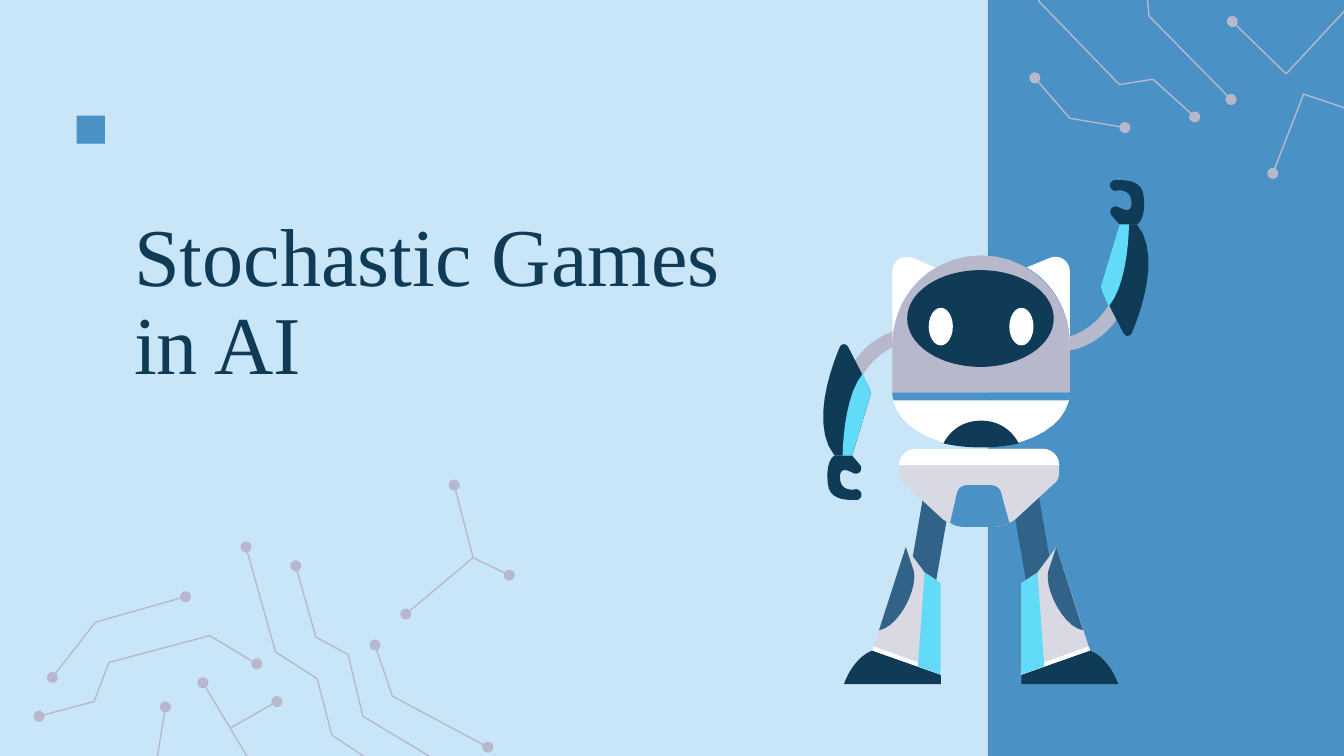
from lxml import etree
from pptx import Presentation
from pptx.dml.color import RGBColor
from pptx.enum.shapes import MSO_CONNECTOR, MSO_SHAPE
from pptx.enum.text import MSO_ANCHOR
from pptx.oxml.ns import qn
from pptx.util import Inches, Pt

STRAIGHT = MSO_CONNECTOR.STRAIGHT
RECTANGLE, OVAL = MSO_SHAPE.RECTANGLE, MSO_SHAPE.OVAL
BOTTOM = MSO_ANCHOR.BOTTOM
SKY = RGBColor(0xC9, 0xE6, 0xF8)
BLUE = RGBColor(0x4A, 0x91, 0xC6)
NAVY = RGBColor(0x10, 0x3B, 0x57)
STEEL = RGBColor(0x31, 0x63, 0x88)
CYAN = RGBColor(0x61, 0xDB, 0xF8)
LILAC = RGBColor(0xB8, 0xB8, 0xCC)
PALE = RGBColor(0xD9, 0xD9, 0xE4)
WHITE = RGBColor(0xFF, 0xFF, 0xFF)
FONT = "Times New Roman"
CURVE_STEPS = 10

LOWER_TRACES = [
    [(3.38, 0.01), (3.52, 0.55), (3.79, 0.68)],
    [(2.79, 1.2), (2.92, 1.58), (3.63, 1.96)],
    [(2.2, 0.61), (2.35, 1.14), (2.59, 1.27), (2.7, 1.73), (3.75, 2.36)],
    [(1.83, 0.47), (2.05, 1.25), (2.36, 1.45), (2.47, 1.87), (3.45, 2.52)],
    [(0.39, 1.44), (0.71, 1.03), (1.38, 0.84)],
    [(0.29, 1.73), (0.7, 1.62), (0.81, 1.33), (1.56, 1.13), (1.91, 1.34)],
    [(1.23, 1.66), (1.12, 2.35), (0.44, 2.24)],
    [(1.51, 1.48), (1.96, 2.23)],
]
LOWER_BRANCHES = [[(3.52, 0.55), (3.02, 0.97)], [(1.71, 1.82), (2.06, 1.62)]]
UPPER_TRACES = [
    [(0, 0.58), (0.26, 0.88), (0.67, 0.95)],
    [(0.07, -0.36), (0.03, 0.01), (0.63, 0.63), (0.88, 0.59), (1.19, 0.87)],
    [(0.8, -0.4), (0.85, 0.12), (1.46, 0.74)],
    [(1.47, 0.16), (1.87, 0.55), (2.5, -0.13)],
    [(1.77, 1.29), (2, 0.7), (2.65, 0.92)],
]

ARM = [
    (LILAC, [(0.21, 2.01), (0.2, 1.79, 0.23, 1.49, 0.44, 1.29), (0.57, 1.17, 0.71, 1.15, 0.72, 1.15),
             (0.73, 1.25), (0.71, 1.26, 0.28, 1.34, 0.32, 2.01)]),
    (NAVY, [(0.47, 1.59), (0.31, 1.28), (0.29, 1.25, 0.26, 1.26, 0.25, 1.28),
            (0.18, 1.44, 0.03, 1.87, 0.21, 2.09), (0.34, 2.09), (0.48, 1.63)]),
    (NAVY, [(0.4, 2.16), (0.34, 2.09), (0.21, 2.09), (0.21, 2.09, 0.14, 2.12, 0.16, 2.3),
            (0.17, 2.43, 0.32, 2.42, 0.38, 2.42), (0.4, 2.41, 0.41, 2.4, 0.41, 2.38),
            (0.41, 2.36, 0.39, 2.34, 0.37, 2.34), (0.32, 2.35, 0.25, 2.34, 0.25, 2.25),
            (0.25, 2.17, 0.31, 2.2, 0.35, 2.22), (0.37, 2.23, 0.39, 2.22, 0.4, 2.21),
            (0.41, 2.19, 0.41, 2.17, 0.4, 2.16)]),
    (CYAN, [(0.48, 1.63), (0.47, 1.59), (0.42, 1.48), (0.27, 1.66, 0.27, 2.09, 0.27, 2.09), (0.34, 2.09)]),
]
EAR = [
    (WHITE, [(0.96, 0.69), (0.91, 0.72, 0.87, 0.75, 0.83, 0.79), (0.71, 0.91, 0.64, 1.08, 0.64, 1.26),
             (0.64, 0.72), (0.64, 0.64, 0.72, 0.59, 0.79, 0.62)]),
]
HEAD = [
    (LILAC, [(1.96, 1.62), (1.96, 1.26), (1.96, 0.9, 1.67, 0.6, 1.3, 0.6),
             (0.93, 0.6, 0.64, 0.9, 0.64, 1.26), (0.64, 1.62)]),
    (WHITE, [(1.96, 1.62), (1.96, 1.85, 1.67, 2.03, 1.3, 2.03), (0.93, 2.03, 0.64, 1.85, 0.64, 1.62)]),
    (BLUE, [(1.95, 1.68), (1.96, 1.66, 1.96, 1.64, 1.96, 1.62), (0.64, 1.62),
            (0.64, 1.64, 0.64, 1.66, 0.65, 1.68)]),
    (NAVY, [(1.02, 2), (1.11, 2.02, 1.2, 2.03, 1.3, 2.03), (1.4, 2.03, 1.49, 2.02, 1.58, 2),
            (1.53, 1.9, 1.43, 1.83, 1.3, 1.83), (1.17, 1.83, 1.07, 1.9, 1.02, 2)]),
]
FACE = [(NAVY, 0.75, 0.71, 1.09, 0.72), (WHITE, 0.91, 0.99, 0.18, 0.28), (WHITE, 1.51, 0.99, 0.18, 0.28)]
LEG = [
    (STEEL, [(0.94, 3.17), (0.74, 3.14), (0.87, 2.39), (1.07, 2.42)]),
    (NAVY, [(1, 3.72), (0.49, 3.54), (0.34, 3.6, 0.28, 3.79, 0.28, 3.79), (1, 3.79)]),
    (PALE, [(0.49, 3.54), (0.74, 2.77), (0.88, 2.96), (1, 3.04), (1, 3.72)]),
    (WHITE, [(0.49, 3.54), (1, 3.72), (1, 3.69), (0.5, 3.51)]),
    (STEEL, [(0.8, 2.95), (0.74, 2.77), (0.54, 3.39), (0.68, 3.37, 0.83, 3.09, 0.8, 2.95)]),
    (CYAN, [(1, 3.72), (1, 3.04), (0.88, 2.96), (0.83, 3.66)]),
]
BELT_TOP = [(1.88, 2.16), (1.88, 2.09, 1.82, 2.04, 1.76, 2.04), (0.81, 2.04),
            (0.75, 2.04, 0.69, 2.09, 0.69, 2.16)]
HIP_BOTTOM = [(1.51, 2.59), (1.47, 2.61, 1.44, 2.62, 1.4, 2.62), (1.17, 2.62),
              (1.13, 2.62, 1.1, 2.61, 1.07, 2.59)]
PELVIS = [
    (PALE, BELT_TOP + [(0.69, 2.21), (0.69, 2.25, 0.71, 2.28, 0.73, 2.3), (1, 2.55),
                       (1.02, 2.57, 1.04, 2.58, 1.07, 2.59), (1.1, 2.61, 1.13, 2.62, 1.17, 2.62),
                       (1.4, 2.62), (1.44, 2.62, 1.47, 2.61, 1.51, 2.59),
                       (1.53, 2.58, 1.55, 2.57, 1.57, 2.55), (1.84, 2.3),
                       (1.87, 2.28, 1.88, 2.25, 1.88, 2.21)]),
    (WHITE, BELT_TOP),
    (BLUE, HIP_BOTTOM + [(1.12, 2.37), (1.13, 2.33, 1.16, 2.31, 1.2, 2.31), (1.37, 2.31),
                         (1.41, 2.31, 1.44, 2.33, 1.45, 2.37)]),
]


def upright(x, y):
    """Leave a robot point where it is."""
    return x, y


def mirrored(x, y):
    """Reflect a robot point across the body axis."""
    return 2.6 - x, y


def half_turned(x, y):
    """Turn a robot point by 180 degrees for the raised arm."""
    return 2.67 - x, 2.46 - y


def flatten(outline):
    """Turn points and cubic curves into a list of points."""
    points = [outline[0]]
    for step in outline[1:]:
        if len(step) == 2:
            points.append(step)
            continue
        corners = [points[-1], step[:2], step[2:4], step[4:]]
        for index in range(1, CURVE_STEPS + 1):
            t = index / CURVE_STEPS
            weights = ((1 - t) ** 3, 3 * t * (1 - t) ** 2, 3 * t * t * (1 - t), t ** 3)
            points.append(tuple(sum(w * c[axis] for w, c in zip(weights, corners)) for axis in (0, 1)))
    return points


def add_outline(shapes, box, points, close):
    """Build a freeform from points relative to the box."""
    placed = [(Inches(box[0] + x), Inches(box[1] + y)) for x, y in points]
    builder = shapes.build_freeform(*placed[0])
    builder.add_line_segments(placed[1:], close=close)
    shape = builder.convert_to_shape()
    shape.shadow.inherit = False
    return shape


def paint(shape, color):
    """Give a shape a flat fill with no line or shadow."""
    shape.shadow.inherit = False
    shape.fill.solid()
    shape.fill.fore_color.rgb = color
    shape.line.fill.background()


def add_preset(shapes, kind, box, color):
    """Place a flat preset shape in the box."""
    paint(shapes.add_shape(kind, *map(Inches, box)), color)


def add_parts(shapes, box, parts, turn=upright):
    """Draw coloured outlines after moving each point."""
    for color, outline in parts:
        points = [turn(x, y) for x, y in flatten(outline)]
        paint(add_outline(shapes, box, points, True), color)


def style_trace(shape, ends):
    """Draw a thin lilac line with round dots at the ends."""
    shape.line.color.rgb = LILAC
    shape.line.width = Pt(0.75)
    line = shape.line._get_or_add_ln()
    for end in ends:
        etree.SubElement(line, qn(f"a:{end}"), type="oval")


def add_circuit(page, box, traces, branches=()):
    """Draw the circuit traces of one corner."""
    shapes = page.shapes.add_group_shape().shapes
    for trace in traces:
        shape = add_outline(shapes, box, trace, False)
        shape.fill.background()
        style_trace(shape, ("headEnd", "tailEnd"))
    for branch in branches:
        ends = [Inches(box[axis] + point[axis]) for point in branch for axis in (0, 1)]
        connector = shapes.add_connector(STRAIGHT, *ends)
        style_trace(connector, ("tailEnd",))
        etree.SubElement(connector._element.spPr, qn("a:effectLst"))


def add_robot(page, box):
    """Draw the waving robot."""
    shapes = page.shapes.add_group_shape().shapes
    for parts, turns in ((ARM, (upright, half_turned)), (EAR, (upright, mirrored)), (HEAD, (upright,)),
                         (LEG, (upright, mirrored)), (PELVIS, (upright,))):
        for turn in turns:
            add_parts(shapes, box, parts, turn)
    for color, left, top, width, height in FACE:
        add_preset(shapes, OVAL, (box[0] + left, box[1] + top, width, height), color)


def add_title(page, box, text):
    """Place the title at the bottom of the box."""
    frame = page.shapes.add_textbox(*map(Inches, box)).text_frame
    frame.word_wrap = True
    frame.vertical_anchor = BOTTOM
    frame.margin_left = frame.margin_right = frame.margin_top = frame.margin_bottom = Inches(0.1)
    frame.text = text
    para = frame.paragraphs[0]
    para.line_spacing = 0.9
    font = para.runs[0].font
    font.name, font.size, font.color.rgb = FONT, Pt(44), NAVY


def main():
    """Build the title slide."""
    deck = Presentation()
    deck.slide_width = Inches(10)
    deck.slide_height = deck.slide_width * 9 // 16
    page = deck.slides.add_slide(deck.slide_layouts[6])
    page.background.fill.solid()
    page.background.fill.fore_color.rgb = SKY
    add_preset(page.shapes, RECTANGLE, (7.35, 0, 2.66, 5.65), BLUE)
    add_preset(page.shapes, RECTANGLE, (0.57, 0.86, 0.21, 0.21), BLUE)
    add_circuit(page, (0, 3.6), LOWER_TRACES, LOWER_BRANCHES)
    add_circuit(page, (7.7, 0), UPPER_TRACES)
    add_title(page, (0.9, 1.33, 5.12, 1.69), "Stochastic Games in AI")
    add_robot(page, (6, 1.3))
    deck.save("out.pptx")


if __name__ == "__main__":
    main()
